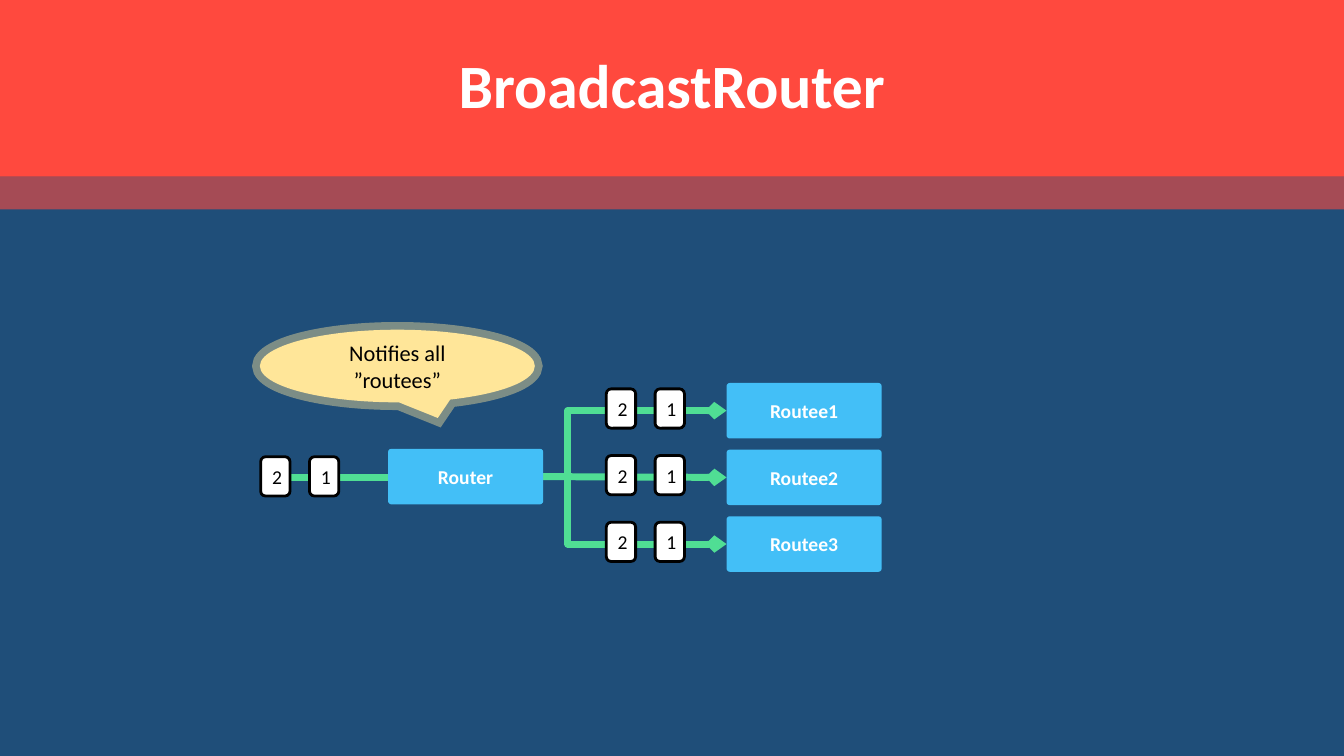
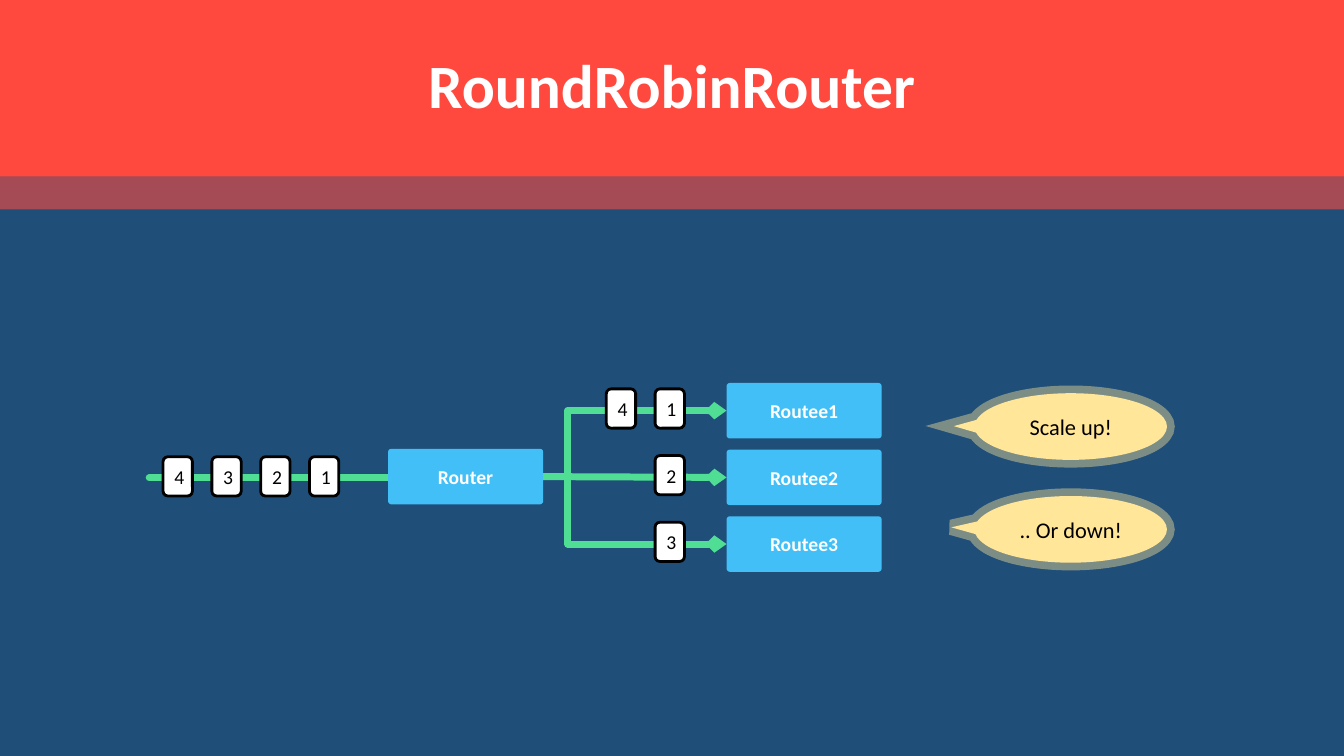
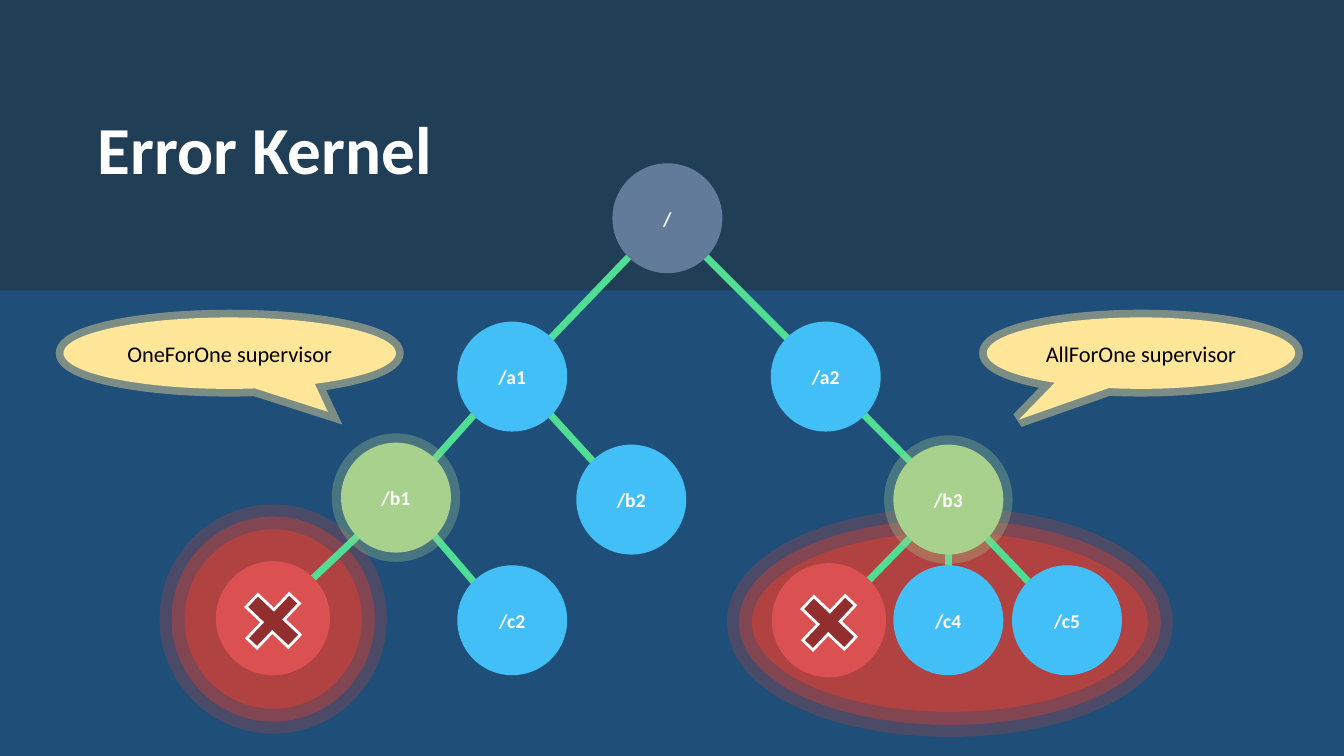
"""Three slides on message routers and supervision trees."""
from lxml.etree import SubElement
from pptx import Presentation
from pptx.dml.color import RGBColor
from pptx.enum.shapes import MSO_CONNECTOR, MSO_SHAPE
from pptx.enum.text import MSO_ANCHOR, PP_ALIGN
from pptx.oxml.ns import qn
from pptx.util import Cm, Pt

NAVY, RED, BLUE, GREEN, WHITE = "1F4E79", "FF493E", "43BFF7", "50DE94", "FFFFFF"
WIDTH, HEIGHT = 33.87, 19.05
BOX = dict(fill=BLUE, adj=[0.06], bold=True)
CARD = dict(fill=WHITE, line="000000", width=2, color="000000")
CALLOUT = dict(fill="FFE699", line="FFE699", width=11, line_alpha=42, size=16, color="000000")
HEADING = dict(size=44, bold=True)


def add(s, kind, x, y, w, h, fill=None, fill_alpha=100, line=None, line_alpha=100, width=1,
        adj=(), text="", size=14, color=WHITE, bold=False, align=PP_ALIGN.CENTER):
    box = Cm(x), Cm(y), Cm(w), Cm(h)
    if kind is None:
        sp = s.shapes.add_textbox(*box)
    else:
        sp = s.shapes.add_shape(kind, *box)
        sp.shadow.inherit = False
        for i, value in enumerate(adj):
            sp.adjustments[i] = value
        sp.line.width = Pt(width)
        for fmt, rgb, alpha, place in ((sp.fill, fill, fill_alpha, "./"),
                                       (sp.line.fill, line, line_alpha, "./a:ln/")):
            if rgb is None:
                fmt.background()
                continue
            fmt.solid()
            fmt.fore_color.rgb = RGBColor.from_string(rgb)
            if alpha < 100:
                clr = sp.element.spPr.xpath(place + "a:solidFill/a:srgbClr")[0]
                SubElement(clr, qn("a:alpha"), val=str(alpha * 1000))
        SubElement(sp.element.spPr.find(qn("a:ln")), qn("a:miter"), lim="800000")
    if text:
        tf = sp.text_frame
        tf.word_wrap = True
        tf.vertical_anchor = MSO_ANCHOR.MIDDLE
        p = tf.paragraphs[0]
        p.text = text
        p.alignment = align
        p.font.name = "Calibri"
        p.font.size = Pt(size)
        p.font.bold = bold
        p.font.color.rgb = RGBColor.from_string(color)
    return sp


def link(s, x1, y1, x2, y2, bend=None, arrow=False):
    kind = MSO_CONNECTOR.ELBOW if bend else MSO_CONNECTOR.STRAIGHT
    c = s.shapes.add_connector(kind, Cm(x1), Cm(y1), Cm(x2), Cm(y2))
    c.line.width = Pt(5)
    c.line.color.rgb = RGBColor.from_string(GREEN)
    spPr = c.element.spPr
    if bend:
        guides = spPr.find(qn("a:prstGeom")).find(qn("a:avLst"))
        SubElement(guides, qn("a:gd"), name="adj1", fmla=f"val {round(bend * 100000)}")
    ln = spPr.find(qn("a:ln"))
    ln.set("cap", "rnd")
    SubElement(ln, qn("a:round"))
    if arrow:
        SubElement(ln, qn("a:tailEnd"), type="arrow", w="sm", len="sm")
    SubElement(spPr, qn("a:effectLst"))


prs = Presentation()
prs.slide_width, prs.slide_height = Cm(WIDTH), Cm(HEIGHT)
slides = []
for _ in range(3):
    s = prs.slides.add_slide(prs.slide_layouts[6])
    s.background.fill.solid()
    s.background.fill.fore_color.rgb = RGBColor.from_string(NAVY)
    slides.append(s)

BOX_W, BOX_H = 3.91, 1.4
ROUTER_X, ROUTER_Y = 9.78, 11.31
ROUTEE_X, ROUTEE_Y, ROUTEE_STEP = 18.31, 9.65, 1.68
CARD_W, CARD_H, CARD_STEP = 0.74, 0.99, 1.23
routers = [
    ("BroadcastRouter", 6.99, "12", ["12", "12", "12"],
     [("Notifies all ”routees”", 6.55, 8.31, 6.93, 1.83, [0.147, 0.715])]),
    ("RoundRobinRouter", 3.76, "1234", ["14", "2", "3"],
     [("Scale up!", 24.56, 9.91, 4.85, 1.68, [-0.608, -0.006]),
      (".. Or down!", 24.56, 12.5, 4.85, 1.68, [-0.621, -0.03])]),
]
for s, (title, start, incoming, outgoing, callouts) in zip(slides, routers):
    add(s, MSO_SHAPE.RECTANGLE, 0, 0, WIDTH, 4.45, fill=RED)
    add(s, MSO_SHAPE.RECTANGLE, 0, 4.45, WIDTH, 0.83, fill=RED, fill_alpha=60)
    heading = add(s, None, 2.33, 0.38, 29.21, 3.68, text=title, **HEADING)
    heading.text_frame.paragraphs[0].line_spacing = 0.9

    router_mid = ROUTER_Y + BOX_H / 2
    link(s, start, router_mid + 0.03, ROUTER_X, router_mid + 0.03)
    queues = [(7.8, ROUTER_Y + 0.2, incoming)]
    for i, messages in enumerate(outgoing):
        y = ROUTEE_Y + i * ROUTEE_STEP
        link(s, ROUTER_X + BOX_W, router_mid, ROUTEE_X, y + BOX_H / 2,
             bend=None if i == 1 else 0.135, arrow=True)
        add(s, MSO_SHAPE.ROUNDED_RECTANGLE, ROUTEE_X, y, BOX_W, BOX_H,
            text=f"Routee{i + 1}", **BOX)
        queues.append((16.51, y + 0.15, messages))
    add(s, MSO_SHAPE.ROUNDED_RECTANGLE, ROUTER_X, ROUTER_Y, BOX_W, BOX_H, text="Router", **BOX)
    for x, y, messages in queues:
        for i, message in enumerate(messages):
            add(s, MSO_SHAPE.ROUNDED_RECTANGLE, x - i * CARD_STEP, y, CARD_W, CARD_H,
                text=message, **CARD)
    for text, x, y, w, h, adj in callouts:
        add(s, MSO_SHAPE.OVAL_CALLOUT, x, y, w, h, text=text, adj=adj, **CALLOUT)

s = slides[2]
for zone in ((18.95, 13.42, 9.98, 4.52), (4.65, 13.34, 4.47, 4.52)):
    add(s, MSO_SHAPE.OVAL, *zone, fill="B04242", line="B04242", line_alpha=54, width=18.5)
    add(s, MSO_SHAPE.OVAL, *zone, line="B04242", line_alpha=31, width=35.75)
add(s, MSO_SHAPE.RECTANGLE, 0, 0, WIDTH, 7.32, fill="262626", fill_alpha=40)

NODE = 2.77
plain = dict(fill=BLUE)
root = dict(fill="637B9B")
failed = dict(fill="DB5151", line="DB5151", width=3)
supervisor = dict(fill="A9D18E", line="A9D18E", line_alpha=30, width=13.25)
nodes = {
    "/": (16.82, 5.5, root),
    "/a1": (12.91, 9.49, plain),
    "/a2": (20.81, 9.49, plain),
    "/b2": (15.91, 12.59, plain),
    "/c2": (12.91, 15.63, plain),
    "/c4": (23.9, 15.63, plain),
    "/c5": (26.89, 15.63, plain),
    "/c1": (6.88, 15.58, failed),
    "/c3": (20.89, 15.63, failed),
    "/b1": (9.98, 12.54, supervisor),
    "/b3": (23.9, 12.59, supervisor),
}
children = {"/": ["/a1", "/a2"], "/a1": ["/b1", "/b2"], "/a2": ["/b3"],
            "/b1": ["/c1", "/c2"], "/b3": ["/c3", "/c4", "/c5"]}
for parent, names in children.items():
    x1, y1, _ = nodes[parent]
    for name in names:
        x2, y2, _ = nodes[name]
        side = (x2 > x1) - (x2 < x1)
        dx, dy = (side * 0.98, 0.98) if side else (0, NODE / 2)
        link(s, x1 + dx, y1 + dy, x2 - dx, y2 - dy)
for name, (x, y, style) in nodes.items():
    label = "" if style is failed else name
    add(s, MSO_SHAPE.OVAL, x - NODE / 2, y - NODE / 2, NODE, NODE, text=label, bold=True, **style)
    if style is failed:
        cross = add(s, MSO_SHAPE.CROSS, x - 0.77, y - 0.67, 1.55, 1.47, adj=[0.379],
                    fill="922E2E", line=WHITE, width=2)
        cross.rotation = 313.5

add(s, None, 2.21, 2.57, 10.54, 2.31, text="Error Kernel", size=48, bold=True, align=PP_ALIGN.LEFT)
for text, x, w, adj in (("OneForOne supervisor", 1.6, 8.38, [0.295, 0.821]),
                        ("AllForOne supervisor", 24.87, 7.77, [-0.396, 0.931])):
    add(s, MSO_SHAPE.OVAL_CALLOUT, x, 8, w, 1.8, text=text, adj=adj, **CALLOUT)

prs.save("out.pptx")
